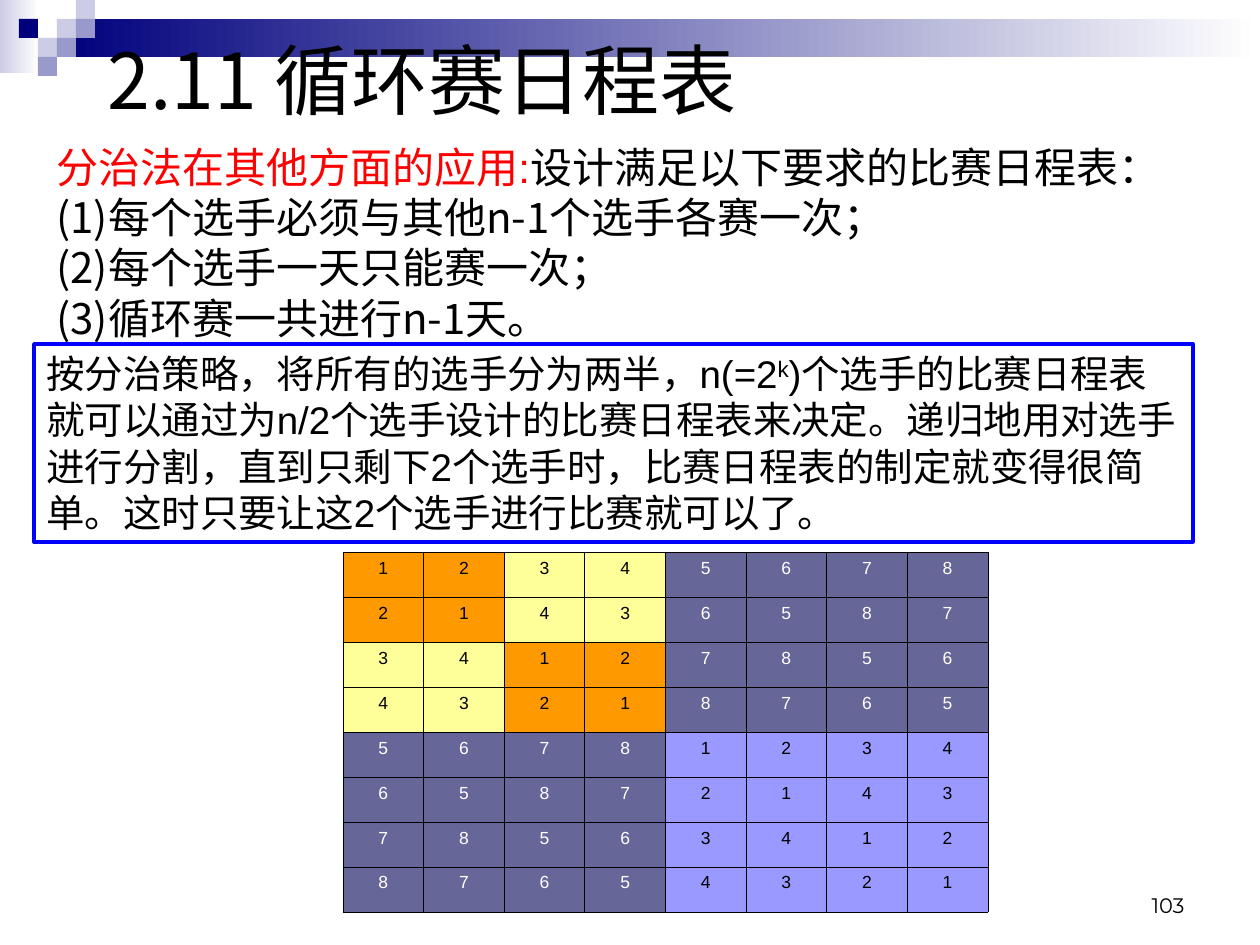
"""Build the round-robin tournament schedule slide."""
from lxml.etree import SubElement
from pptx import Presentation
from pptx.dml.color import RGBColor
from pptx.enum.shapes import MSO_SHAPE as SHAPE
from pptx.enum.text import MSO_ANCHOR as ANCHOR, PP_ALIGN as ALIGN
from pptx.oxml.ns import qn
from pptx.util import Emu, Pt

SCALE = 914400 // 126
SANS, CJK, NUMERAL = "Arial", "Noto Sans CJK SC", "Montserrat"
COLORS = {
    "black": "000000", "white": "FFFFFF", "red": "FF0000", "blue": "0000FF",
    "navy": "00007D", "mist": "CCCCE6", "steel": "9999CC",
    "orange": "FF9900", "yellow": "FFFF99", "slate": "666699", "lilac": "9999FF",
}
BANDS = [((0, 0, 39, 73), "mist"), ((57, 19, 1203, 38), "navy")]
SQUARE = 19
SQUARES = [(3, 1, "mist"), (4, 0, "mist"), (4, 1, "steel"), (2, 2, "mist"),
           (1, 1, "navy"), (3, 2, "steel"), (2, 3, "steel")]

PAGE_NUMBER = [[("103", NUMERAL, "black")]]
TITLE = [[("2.11 循环赛日程表", CJK, "black")]]
RULES = [
    [("分治法在其他方面的应用:", SANS, "red"),
     ("设计满足以下要求的比赛日程表：", SANS, "black")],
    [("(1)每个选手必须与其他n-1个选手各赛一次；", CJK, "black")],
    [("(2)每个选手一天只能赛一次；", CJK, "black")],
    [("(3)循环赛一共进行n-1天。", CJK, "black")],
]
STRATEGY = [[
    ("按分治策略，将所有的选手分为两半，n(=2", SANS, "black"),
    ("k", SANS, "black", 30000),
    (")个选手的比赛日程表就可以通过为n/2个选手设计的比赛日程表来决定。"
     "递归地用对选手进行分割，直到只剩下2个选手时，比赛日程表的制定就变得很简单。"
     "这时只要让这2个选手进行比赛就可以了。", SANS, "black"),
]]
PLAYERS = 8
TABLE_AREA = (343, 552, 645, 360)


def rgb(name):
    return RGBColor.from_string(COLORS[name])


def px(*lengths):
    return [Emu(length * SCALE) for length in lengths]


def add_span(para, size, text, font, color, raised=0):
    span = para.add_run()
    span.text = text
    span.font.size = Pt(size)
    span.font.name = font
    span.font.color.rgb = rgb(color)
    props = span.font._element
    SubElement(props, qn("a:ea")).set("typeface", CJK)
    if raised:
        props.set("baseline", str(raised))


def write(shape, paragraphs, size, anchor=ANCHOR.TOP, align=ALIGN.LEFT, pitch=None):
    frame = shape.text_frame
    frame.word_wrap = True
    frame.vertical_anchor = anchor
    for index, spans in enumerate(paragraphs):
        para = frame.add_paragraph() if index else frame.paragraphs[0]
        para.alignment = align
        if pitch:
            para.line_spacing = Pt(pitch)
        for span in spans:
            add_span(para, size, *span)


def add_box(page, area):
    box = page.shapes.add_shape(SHAPE.RECTANGLE, *px(*area))
    box.shadow.inherit = False
    box.fill.background()
    box.line.fill.background()
    return box


def add_decoration(page):
    for area, color in BANDS:
        band = add_box(page, area)
        band.fill.gradient()
        band.fill.gradient_angle = 0
        for stop, name in zip(band.fill.gradient_stops, (color, "white")):
            stop.color.rgb = rgb(name)
    for col, row, color in SQUARES:
        square = add_box(page, (col * SQUARE, row * SQUARE, SQUARE, SQUARE))
        square.fill.solid()
        square.fill.fore_color.rgb = rgb(color)


def cell_color(row, col):
    half = PLAYERS // 2
    distance = row ^ col
    if distance >= half:
        return "slate"
    if row >= half:
        return "lilac"
    return "yellow" if distance >= half // 2 else "orange"


def add_borders(cell):
    props = cell._tc.get_or_add_tcPr()
    for side in ("lnL", "lnR", "lnT", "lnB"):
        line = SubElement(props, qn(f"a:{side}"), w=str(Pt(0.45)))
        fill = SubElement(line, qn("a:solidFill"))
        SubElement(fill, qn("a:srgbClr"), val=COLORS["black"])


def add_schedule(page):
    table = page.shapes.add_table(PLAYERS, PLAYERS, *px(*TABLE_AREA)).table
    table.first_row = table.horz_banding = False
    for row in range(PLAYERS):
        for col in range(PLAYERS):
            cell = table.cell(row, col)
            color = cell_color(row, col)
            add_borders(cell)
            cell.fill.solid()
            cell.fill.fore_color.rgb = rgb(color)
            para = cell.text_frame.paragraphs[0]
            para.alignment = ALIGN.CENTER
            ink = "white" if color == "slate" else "black"
            add_span(para, 10, str((row ^ col) + 1), SANS, ink)


def main():
    deck = Presentation()
    deck.slide_width, deck.slide_height = px(1260, 945)
    page = deck.slides.add_slide(deck.slide_layouts[6])
    add_decoration(page)
    number = page.shapes.add_textbox(*px(903, 861, 294, 63))
    write(number, PAGE_NUMBER, 12, ANCHOR.BOTTOM, ALIGN.RIGHT)
    title = page.shapes.add_textbox(*px(95, 0, 1071, 158))
    write(title, TITLE, 44, ANCHOR.MIDDLE)
    rules = page.shapes.add_textbox(*px(44, 135, 1154, 214))
    write(rules, RULES, 24, pitch=28.8)
    strategy = add_box(page, (34, 344, 1159, 198))
    strategy.line.color.rgb = rgb("blue")
    strategy.line.width = Pt(2)
    write(strategy, STRATEGY, 22, pitch=26.4)
    add_schedule(page)
    deck.save("out.pptx")


main()
